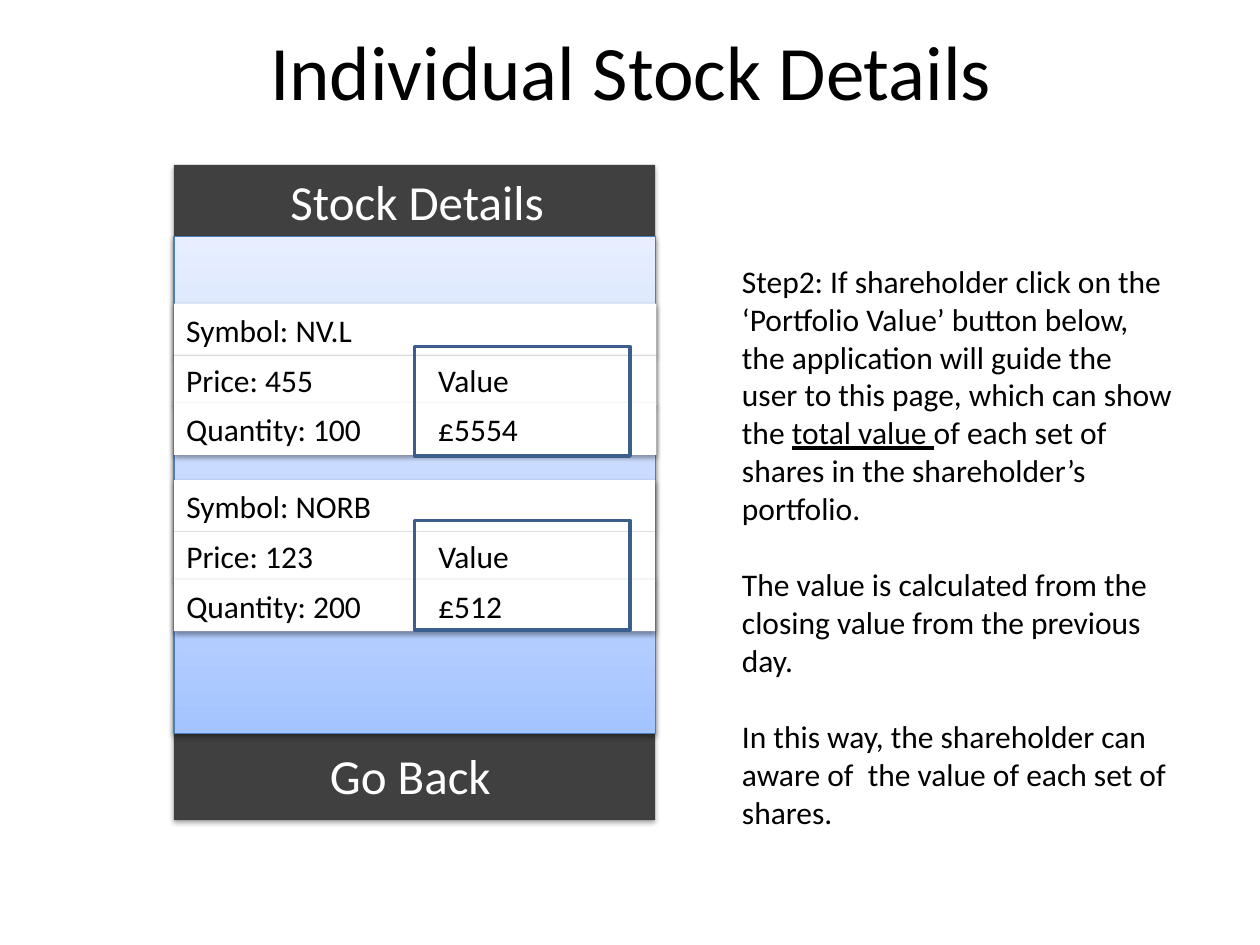
from copy import deepcopy

from lxml import etree
from pptx import Presentation
from pptx.dml.color import RGBColor
from pptx.enum import shapes, text
from pptx.oxml import ns
from pptx.util import Inches, Pt

BLACK = RGBColor(0x00, 0x00, 0x00)
WHITE = RGBColor(0xFF, 0xFF, 0xFF)
CHARCOAL = RGBColor(0x40, 0x40, 0x40)
SCREEN_LINE = RGBColor(0x4B, 0x7E, 0xBC)
FRAME_LINE = RGBColor(0x3A, 0x5F, 0x8C)
SCREEN_STOPS = [
    (0, RGBColor(0xA4, 0xC4, 0xFF)),
    (0.35, RGBColor(0xBF, 0xD4, 0xFF)),
    (1, RGBColor(0xE6, 0xEE, 0xFF)),
]
FONT = "Calibri"
ROW_OFFSETS = [(0, 0.41), (0.41, 0.39), (0.79, 0.41)]  # top, height
VALUE_TAB = 2.0

STOCKS = [
    (2.41, 3.83, 2.75, ["Symbol: NV.L", "Price: 455\tValue", "Quantity: 100\t£5554"]),
    (3.81, 3.82, 4.13, ["Symbol: NORB", "Price: 123\tValue", "Quantity: 200\t£512"]),
]
NOTES = [
    [
        ("Step2: If shareholder click on the ‘Portfolio Value’ button below, "
         "the application will guide the user to this page, which can show the ", False),
        ("total value ", True),
        ("of each set of shares in the shareholder’s portfolio.", False),
    ],
    [("The value is calculated from the closing value from the previous day.", False)],
    [("In this way, the shareholder can aware of  the value of each set of shares.", False)],
]


def add_run(paragraph, words, size, color, underline=False):
    run = paragraph.add_run()
    run.text = words
    run.font.name = FONT
    run.font.size = Pt(size)
    run.font.color.rgb = color
    if underline:
        run.font.underline = True


def add_text(slide, box, words, size, color, align, anchor=text.MSO_ANCHOR.TOP, wrap=True):
    shape = slide.shapes.add_textbox(*map(Inches, box))
    frame = shape.text_frame
    frame.word_wrap = wrap
    frame.vertical_anchor = anchor
    paragraph = frame.paragraphs[0]
    paragraph.alignment = align
    add_run(paragraph, words, size, color)


def add_rectangle(slide, box, fill=None, line=None, line_width=0.75):
    shape = slide.shapes.add_shape(shapes.MSO_SHAPE.RECTANGLE, *map(Inches, box))
    if fill is None:
        shape.fill.background()
    else:
        shape.fill.solid()
        shape.fill.fore_color.rgb = fill
    if line is None:
        shape.line.fill.background()
    else:
        shape.line.color.rgb = line
        shape.line.width = Pt(line_width)
    shape.shadow.inherit = False
    return shape


def add_shadow(shape, opacity, distance):
    effects = shape.element.spPr.find(ns.qn("a:effectLst"))
    shadow = etree.SubElement(effects, ns.qn("a:outerShdw"), blurRad=str(Pt(3.1)),
                              dist=str(Pt(distance)), dir="5400000", rotWithShape="0")
    color = etree.SubElement(shadow, ns.qn("a:srgbClr"), val=str(BLACK))
    etree.SubElement(color, ns.qn("a:alpha"), val=str(opacity * 1000))


def fill_gradient(shape, stops):
    shape.fill.gradient()
    shape.fill.gradient_angle = 90
    stop_list = shape.element.spPr.find(ns.qn("a:gradFill")).find(ns.qn("a:gsLst"))
    stop_list.insert(1, deepcopy(stop_list[0]))
    for stop, (position, color) in zip(shape.fill.gradient_stops, stops):
        stop.position = position
        stop.color.rgb = color


def add_row(slide, box, words):
    shape = add_rectangle(slide, box, WHITE)
    add_shadow(shape, 38, 1.6)
    frame = shape.text_frame
    frame.vertical_anchor = text.MSO_ANCHOR.MIDDLE
    paragraph = frame.paragraphs[0]
    paragraph.alignment = text.PP_ALIGN.LEFT
    tabs = etree.SubElement(paragraph._p.get_or_add_pPr(), ns.qn("a:tabLst"))
    etree.SubElement(tabs, ns.qn("a:tab"), pos=str(Inches(VALUE_TAB)), algn="l")
    add_run(paragraph, words, 18, BLACK)


def add_phone(slide, left, top, width, height):
    # Dark body with header
    body = add_rectangle(slide, (left, top, width, height), CHARCOAL)
    add_shadow(body, 35, 1.8)
    add_text(slide, (left, top, width + 0.04, 0.57), "Stock Details", 28, WHITE,
             text.PP_ALIGN.CENTER)

    # Screen
    screen = add_rectangle(slide, (left, top + 0.57, width, 3.94), WHITE, SCREEN_LINE)
    fill_gradient(screen, SCREEN_STOPS)
    add_shadow(screen, 38, 1.6)

    # Stock rows
    for stock_top, row_width, _, rows in STOCKS:
        for (offset, row_height), words in zip(ROW_OFFSETS, rows):
            add_row(slide, (left, stock_top + offset, row_width, row_height), words)

    # Footer button
    add_text(slide, (left + 1.14, top + 4.56, 1.49, 0.57), "Go Back", 28, WHITE,
             text.PP_ALIGN.LEFT, wrap=False)

    # Frames around the values
    for _, _, frame_top, _ in STOCKS:
        add_rectangle(slide, (left + 1.91, frame_top, 1.71, 0.87), None, FRAME_LINE, 2)


def add_notes(slide, left, top, width, height):
    box = slide.shapes.add_textbox(*map(Inches, (left, top, width, height)))
    frame = box.text_frame
    frame.word_wrap = True
    for index, runs in enumerate(NOTES):
        paragraph = frame.add_paragraph() if index else frame.paragraphs[0]
        if index:
            paragraph.space_before = Pt(22)
        for words, underline in runs:
            add_run(paragraph, words, 18, BLACK, underline)


def main():
    presentation = Presentation()
    presentation.slide_width = Inches(10)
    presentation.slide_height = Inches(7.5)
    slide = presentation.slides.add_slide(presentation.slide_layouts[6])
    add_text(slide, (0.51, 0.13, 9, 0.85), "Individual Stock Details", 44, BLACK,
             text.PP_ALIGN.CENTER, text.MSO_ANCHOR.MIDDLE)
    add_phone(slide, 1.38, 1.31, 3.82, 5.2)
    add_notes(slide, 5.79, 2.03, 3.62, 4.64)
    presentation.save("out.pptx")


if __name__ == "__main__":
    main()
